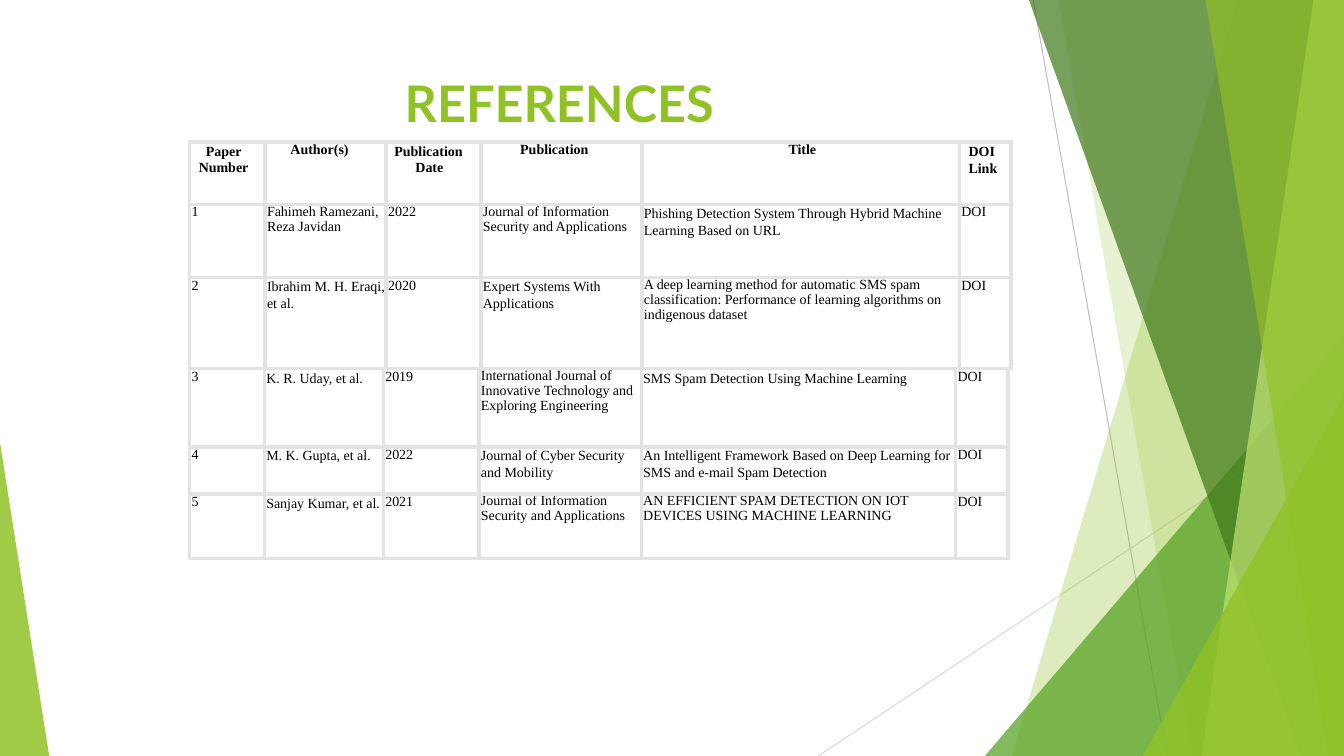
from lxml import etree
from pptx import Presentation
from pptx.dml.color import RGBColor
from pptx.enum.shapes import MSO_CONNECTOR, MSO_SHAPE
from pptx.enum.text import MSO_ANCHOR, MSO_AUTO_SIZE, PP_ALIGN
from pptx.oxml.ns import qn
from pptx.util import Cm, Pt

STRAIGHT = MSO_CONNECTOR.STRAIGHT
TRIANGLE = MSO_SHAPE.ISOSCELES_TRIANGLE
TOP = MSO_ANCHOR.TOP
NO_AUTOFIT = MSO_AUTO_SIZE.NONE
CENTER = PP_ALIGN.CENTER
LEFT = PP_ALIGN.LEFT

COLORS = {
    "lime": "90C226",
    "green": "54A021",
    "forest": "3F7819",
    "pale": "C0E474",
    "line_dark": "BFBFBF",
    "line_light": "D9D9D9",
    "border": "E3E3E3",
    "text": "000000",
}
WIDTH, HEIGHT = 33.87, 19.05
EXACT, LINK_SPACING, TIGHT, SINGLE = Pt(12.1), Pt(12.4), 0.96, 1.0
BODY_INDENT = (0.05, 0)

HEADER = [
    ("Paper Number", EXACT, (0.23, 0.18), LEFT),
    ("Author(s)", SINGLE, (0.64, 0), LEFT),
    ("Publication Date", EXACT, (0.74, -0.53), LEFT),
    ("Publication", SINGLE, (0.99, 0), LEFT),
    ("Title", SINGLE, (0.08, 0), CENTER),
    ("DOI\nLink", LINK_SPACING, (0.23, 0), LEFT),
]
PAPERS = [
    ("1", ("Fahimeh Ramezani, Reza Javidan", TIGHT), "2022",
     ("Journal of Information Security and Applications", TIGHT),
     ("Phishing Detection System Through Hybrid Machine Learning Based on URL", EXACT)),
    ("2", ("Ibrahim M. H. Eraqi, et al.", EXACT), "2020",
     ("Expert Systems With Applications", EXACT),
     ("A deep learning method for automatic SMS spam classification: "
      "Performance of learning algorithms on indigenous dataset", TIGHT)),
    ("3", ("K. R. Uday, et al.", EXACT), "2019",
     ("International Journal of Innovative Technology and Exploring Engineering", TIGHT),
     ("SMS Spam Detection Using Machine Learning", EXACT)),
    ("4", ("M. K. Gupta, et al.", EXACT), "2022",
     ("Journal of Cyber Security and Mobility", EXACT),
     ("An Intelligent Framework Based on Deep Learning for SMS and e-mail Spam Detection", EXACT)),
    ("5", ("Sanjay Kumar, et al.", EXACT), "2021",
     ("Journal of Information Security and Applications", TIGHT),
     ("AN EFFICIENT SPAM DETECTION ON IOT DEVICES USING MACHINE LEARNING", TIGHT)),
]


def rgb(name):
    """Return the named palette colour."""
    return RGBColor.from_string(COLORS[name])


def paint(shape, color, opacity):
    """Fill a shape with a translucent colour, without outline or shadow."""
    shape.shadow.inherit = False
    shape.fill.solid()
    shape.fill.fore_color.rgb = rgb(color)
    color_element = shape._element.spPr.find(".//" + qn("a:srgbClr"))
    etree.SubElement(color_element, qn("a:alpha"), val=str(opacity * 1000))
    shape.line.fill.background()


def add_panel(slide, box, top_x, bottom_x, color, opacity):
    """Add a full-height panel that ends at the right edge of the box."""
    left, top, width, height = box
    right, bottom = Cm(left + width), Cm(top + height)
    builder = slide.shapes.build_freeform(Cm(left + top_x), Cm(top), scale=1.0)
    builder.add_line_segments(
        [(right, Cm(top)), (right, bottom), (Cm(left + bottom_x), bottom)], close=True)
    paint(builder.convert_to_shape(), color, opacity)


def add_corner(slide, box, start, end, peak, apex, color, opacity):
    """Add a right triangle that stands on the bottom of the box."""
    left, top, _, height = box
    shape = slide.shapes.add_shape(
        TRIANGLE, Cm(left + start), Cm(top + peak), Cm(end - start), Cm(height - peak))
    shape.adjustments[0] = apex
    paint(shape, color, opacity)


def add_ray(slide, box, start, end, color):
    """Add a thin decorative line between two points of the box."""
    left, top = box[:2]
    connector = slide.shapes.add_connector(
        STRAIGHT, Cm(left + start[0]), Cm(top + start[1]),
        Cm(left + end[0]), Cm(top + end[1]))
    connector.line.color.rgb = rgb(color)
    connector.line.width = Pt(0.75)
    etree.SubElement(connector._element.spPr, qn("a:effectLst"))


def add_facets(slide, box):
    """Place the green facets and thin rays on both sides of the slide."""
    width, height = box[2:]
    add_ray(slide, box, (26.04, 0), (29.41, height), "line_dark")
    add_ray(slide, box, (width, 10.24), (20.62, height), "line_light")
    add_panel(slide, box, 31.19, 25.5, "lime", 30)
    add_panel(slide, box, 26.67, 30.05, "lime", 20)
    add_corner(slide, box, 24.82, width, 8.46, 1, "green", 72)
    add_panel(slide, box, 25.93, 32.79, "forest", 70)
    add_panel(slide, box, 33.1, 30.28, "pale", 70)
    add_panel(slide, box, 30.38, 33.48, "lime", 65)
    add_corner(slide, box, 28.8, width, 9.98, 1, "lime", 80)
    add_corner(slide, box, 0, 1.24, 11.15, 0, "lime", 85)


def place_title(slide, box, text):
    """Move and format the title placeholder, in front of the facets."""
    title = slide.shapes.title
    slide.shapes._spTree.append(title._element)
    title.left, title.top, title.width, title.height = map(Cm, box)
    frame = title.text_frame
    frame.text = text
    frame.word_wrap = True
    frame.auto_size = NO_AUTOFIT
    frame.vertical_anchor = TOP
    frame.margin_left = Cm(0.8)
    paragraph = frame.paragraphs[0]
    paragraph.alignment = CENTER
    paragraph.font.name = "Lato"
    paragraph.font.size = Pt(36)
    paragraph.font.bold = True
    paragraph.font.color.rgb = rgb("lime")


def set_borders(cell, top_width):
    """Draw the four borders of a cell."""
    properties = cell._tc.get_or_add_tcPr()
    for side, width in (("L", 2.75), ("R", 2.75), ("T", top_width), ("B", 2.75)):
        border = etree.SubElement(properties, qn("a:ln" + side), w=str(Pt(width)))
        fill = etree.SubElement(border, qn("a:solidFill"))
        etree.SubElement(fill, qn("a:srgbClr"), val=COLORS["border"])


def fill_cell(cell, text, spacing, indent, alignment, bold, top_width):
    """Write and format one table cell."""
    cell.margin_left = cell.margin_right = cell.margin_top = cell.margin_bottom = 0
    set_borders(cell, top_width)
    cell.fill.background()
    cell.text_frame.text = text
    for paragraph in cell.text_frame.paragraphs:
        paragraph.alignment = alignment
        paragraph.line_spacing = spacing
        paragraph.font.name = "Times New Roman"
        paragraph.font.size = Pt(10)
        paragraph.font.bold = bold
        paragraph.font.color.rgb = rgb("text")
        properties = paragraph._p.get_or_add_pPr()
        properties.set("marL", str(Cm(indent[0])))
        properties.set("indent", str(Cm(indent[1])))


def paper_row(paper):
    """Turn one paper into a row of formatted cell entries."""
    number, author, year, publication, title = paper
    entries = [(number, SINGLE), author, (year, SINGLE), publication, title, ("DOI", SINGLE)]
    return [(text, spacing, BODY_INDENT, LEFT) for text, spacing in entries]


def add_reference_table(slide, position, widths, heights, rows, top_width):
    """Add a bordered table whose top left corner is at the position."""
    frame = slide.shapes.add_table(
        len(heights), len(widths), *map(Cm, position), Cm(sum(widths)), Cm(sum(heights)))
    table = frame.table
    table.first_row = table.horz_banding = False
    for column, width in zip(table.columns, widths):
        column.width = Cm(width)
    for row, height, entries in zip(table.rows, heights, rows):
        row.height = Cm(height)
        for cell, entry in zip(row.cells, entries):
            fill_cell(cell, *entry, entries is HEADER, top_width)


def main():
    """Build the references slide and save it."""
    presentation = Presentation()
    presentation.slide_width, presentation.slide_height = Cm(WIDTH), Cm(HEIGHT)
    slide = presentation.slides.add_slide(presentation.slide_layouts[5])
    add_facets(slide, (0, 0, WIDTH, HEIGHT))
    place_title(slide, (1.88, 1.7, 23.88, 3.66), "REFERENCES")
    rows = [HEADER] + [paper_row(paper) for paper in PAPERS]
    add_reference_table(slide, (4.78, 3.58), (1.9, 3.05, 2.39, 4.06, 8, 1.3),
                        (1.57, 1.85, 2.29), rows[:3], 2.75)
    add_reference_table(slide, (4.78, 9.3), (1.88, 3, 2.41, 4.09, 7.92, 1.32),
                        (1.96, 1.19, 1.63), rows[3:], 1.42)
    presentation.save("out.pptx")


if __name__ == "__main__":
    main()
